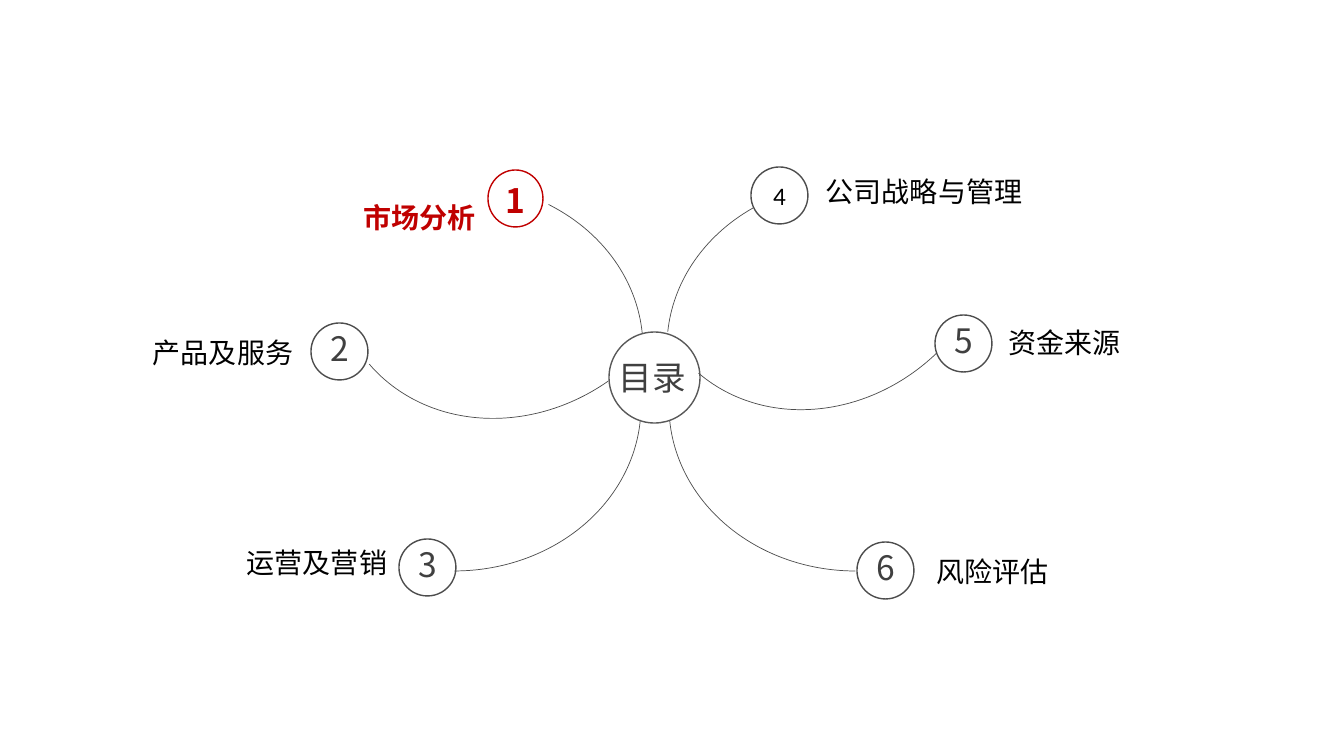
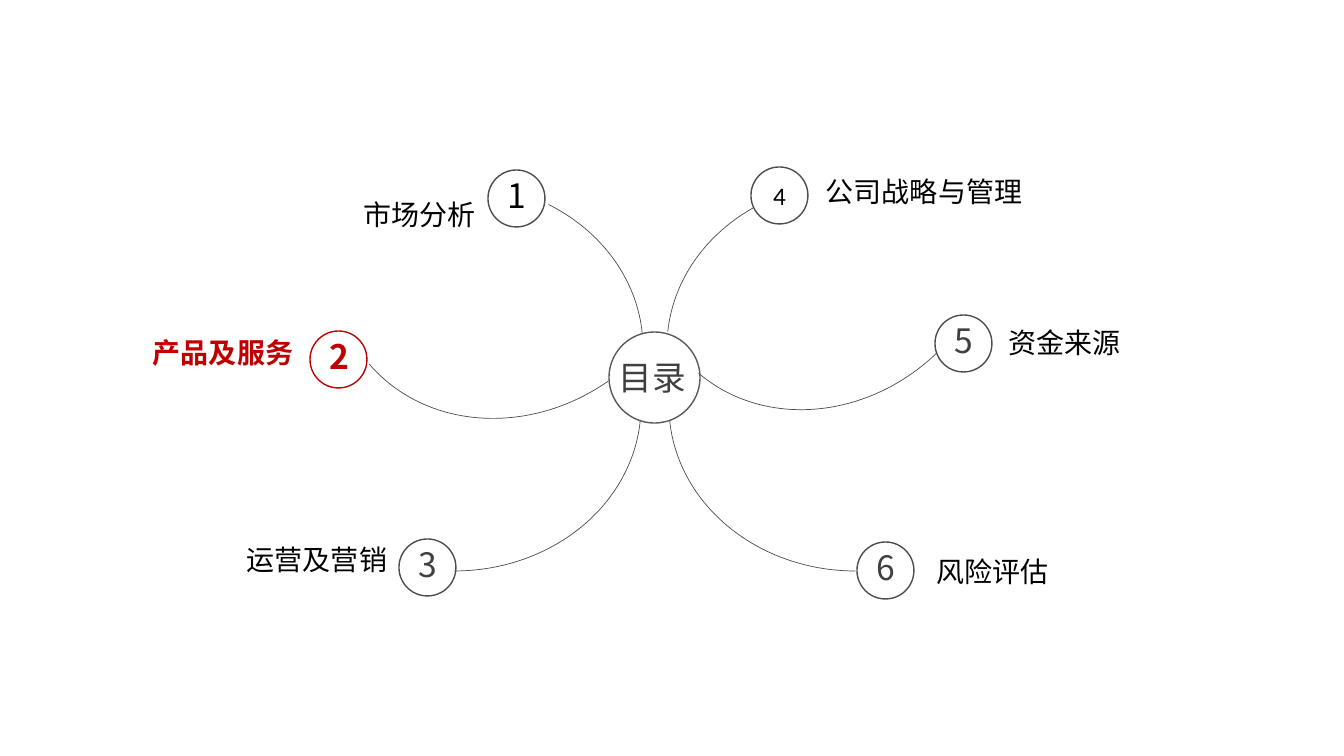
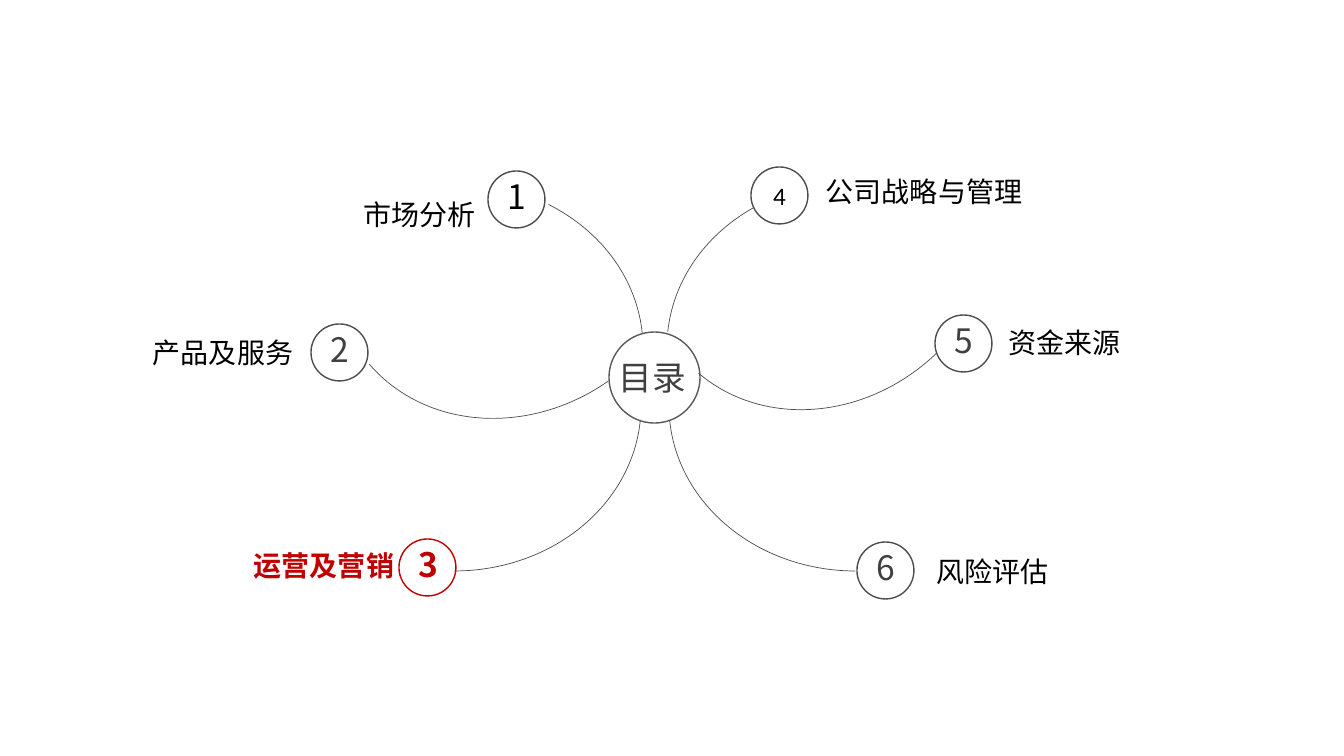
from lxml import etree
from pptx import Presentation
from pptx import util as u
from pptx.dml.color import RGBColor
from pptx.enum import shapes, text
from pptx.oxml.ns import qn

EMU_PER_PX = 12192000 / 1344
CJK, LATIN = "Noto Sans CJK SC", "Calibri"
RED, BLACK, INK, LINE, HUB_LINE = "C00000", "000000", "404040", "4D4D4D", "595959"
CIRCLE_W, CIRCLE_H = 57, 57

HUB = (609, 332, 91, 91)
ARCS = [
    ((270, 183, 373, 330), 302.7, 355.4, 0),
    ((667, 182, 373, 330), 184.7, 234.2, 0),
    ((268, 241, 373, 330), 4.3, 90, 0),
    ((669, 241, 373, 330), 90, 175.7, 0),
    ((327, 81, 373, 330), 90, 175.7, 325),
    ((636, 69, 373, 330), 90, 175.7, 316),
]
TOPICS = {
    1: dict(title="市场分析", circle=(488, 170), label=(354, 193), ink=BLACK),
    2: dict(title="产品及服务", circle=(311, 323), label=(143, 331), label_w=168),
    3: dict(title="运营及营销", circle=(399, 539), label=(237, 538)),
    4: dict(title="公司战略与管理", circle=(751, 167), label=(816, 170), label_w=247,
            inside=True),
    5: dict(title="资金来源", circle=(935, 315), label=(999, 321)),
    6: dict(title="风险评估", circle=(857, 542), label=(927, 550)),
}
SLIDES = [
    (1, {1: dict(label=(354, 196), circle_w=55, digit=(8, 5)), 3: dict(label=(237, 541))}),
    (2, {2: dict(circle=(310, 331))}),
    (3, {1: dict(circle=(488, 171)), 2: dict(circle=(311, 324)), 3: dict(label=(244, 544))}),
]


def px(*lengths):
    """Turn pixel lengths into EMU."""
    return [u.Emu(round(n * EMU_PER_PX)) for n in lengths]


def rgb(value):
    """Turn a hex string into a colour."""
    return RGBColor.from_string(value)


def write(sp, words, size=20, font=LATIN, color=BLACK, bold=False, align=None):
    """Put one formatted run into a shape."""
    p = sp.text_frame.paragraphs[0]
    p.alignment = align
    r = p.add_run()
    r.text = words
    r.font.size, r.font.name, r.font.bold = u.Pt(size), font, bold
    r.font.color.rgb = rgb(color)
    etree.SubElement(r.font._element, qn("a:ea")).set("typeface", CJK)


def outline(s, kind, box, color, width=1):
    """Add an unfilled preset shape."""
    sp = s.shapes.add_shape(kind, *px(*box))
    sp.shadow.inherit = False
    sp.fill.background()
    sp.line.color.rgb = rgb(color)
    sp.line.width = u.Pt(width)
    return sp


def text_box(s, box, words, **style):
    """Add a wrapped text box that grows with its text."""
    sp = s.shapes.add_textbox(*px(*box))
    tf = sp.text_frame
    tf.word_wrap = True
    tf.auto_size = text.MSO_AUTO_SIZE.SHAPE_TO_FIT_TEXT
    write(sp, words, **style)


def branch(s, box, start, end, rotation):
    """Add an arc of the ellipse in the box, between two angles in degrees."""
    sp = outline(s, shapes.MSO_SHAPE.ARC, box, LINE, 0.5)
    sp.adjustments[0], sp.adjustments[1] = start * 0.6, end * 0.6
    sp.rotation = rotation


def hub(s, box):
    """Add the central circle with its title."""
    x, y, w, h = box
    outline(s, shapes.MSO_SHAPE.OVAL, box, HUB_LINE)
    text_box(s, (x, y + 20, w + 3, 51), "目录", size=24, font=CJK, color=INK)


def topic(s, number, active, title, circle, label, label_w=162, circle_w=CIRCLE_W,
          digit=(10, 0), ink=INK, inside=False):
    """Add a numbered circle and its label, red and bold when active."""
    x, y = circle
    sp = outline(s, shapes.MSO_SHAPE.OVAL, (x, y, circle_w, CIRCLE_H), RED if active else LINE)
    if inside:
        sp.text_frame.vertical_anchor = text.MSO_ANCHOR.MIDDLE
        write(sp, str(number), size=18, align=text.PP_ALIGN.CENTER)
    else:
        dx, dy = digit
        text_box(s, (x + dx, y + dy, 39, 50), str(number), size=24, font=CJK,
                 color=RED if active else ink, bold=active)
    text_box(s, (*label, label_w, 43), title, color=RED if active else BLACK, bold=active)


def contents_slide(prs, active, changes):
    """Add a contents map with one topic highlighted."""
    s = prs.slides.add_slide(prs.slide_layouts[6])
    for arc in ARCS:
        branch(s, *arc)
    hub(s, HUB)
    for number, settings in TOPICS.items():
        topic(s, number, number == active, **{**settings, **changes.get(number, {})})


def main():
    """Build and save the presentation."""
    prs = Presentation()
    prs.slide_width, prs.slide_height = px(1344, 756)
    for active, changes in SLIDES:
        contents_slide(prs, active, changes)
    prs.save("out.pptx")


if __name__ == "__main__":
    main()
